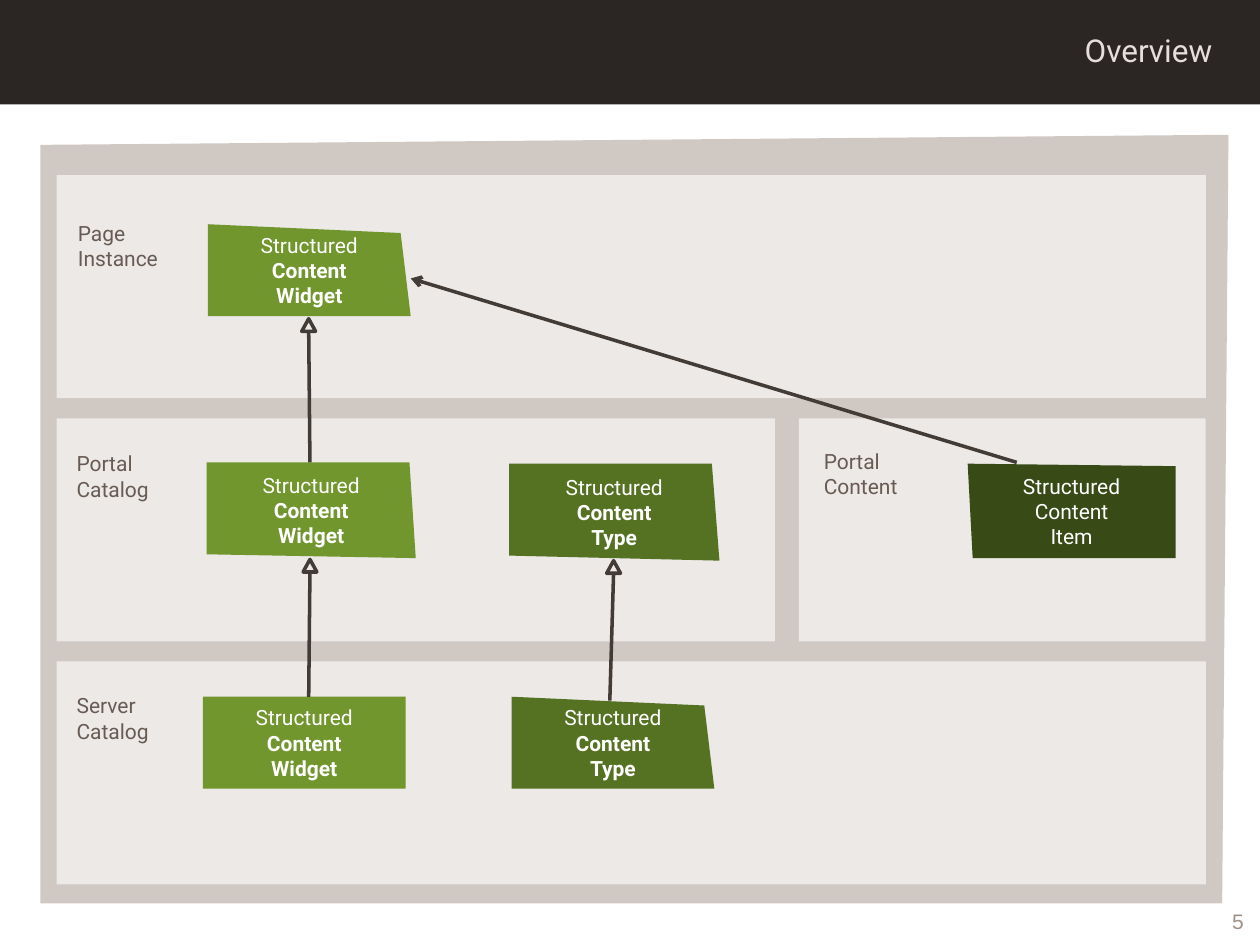
from lxml import etree
from pptx import Presentation
from pptx import util as u
from pptx.dml.color import RGBColor
from pptx.enum import shapes, text
from pptx.oxml import ns

deck = Presentation()
deck.slide_width, deck.slide_height = u.Inches(10), u.Inches(7.5)
page = deck.slides.add_slide(deck.slide_layouts[6])
column, row = deck.slide_width / 10, deck.slide_height / 7.5


def paint(fill, colour):
    fill.solid()
    fill.fore_color.rgb = RGBColor.from_string(colour)


def write(shape, words, size, colour, align, font="Roboto", bold_from=9):
    shape.text_frame.text = words
    for index, para in enumerate(shape.text_frame.paragraphs):
        para.alignment = align
        for span in para.runs:
            span.font.name = font
            span.font.size = u.Pt(size)
            span.font.bold = index >= bold_from
            paint(span.font.fill, colour)


panel_height, panel_step = 1.77, 1.93
page_top, portal_top, server_top = [1.39 + panel_step * level for level in range(3)]
panels = [(0.45, page_top, 9.57), (0.45, portal_top, 6.15),
          (6.34, portal_top, 9.57), (0.45, server_top, 9.57)]
light, medium, dark = "71962D", "557122", "384B17"
widget = "Structured\nContent\nWidget"
content_type = "Structured\nContent\nType"
item = "Structured\nContent\nItem"

solids = [
    ("2B2623", [(0, 0), (10, 0.83)], "", 9),
    ("CFC8C3", [(0.32, 1.15), (9.75, 1.07), (9.7, 7.17), (0.32, 7.17)], "", 9),
]
for left, top, right in panels:
    solids.append(("ECE9E7", [(left, top), (right, top + panel_height)], "", 9))
solids += [
    (light, [(1.65, 1.78), (3.18, 1.85), (3.26, 2.51), (1.65, 2.51)], widget, 1),
    (light, [(1.64, 3.67), (3.25, 3.67), (3.3, 4.43), (1.64, 4.4)], widget, 1),
    (light, [(1.61, 5.53), (3.22, 6.26)], widget, 1),
    (medium, [(4.04, 3.68), (5.65, 3.68), (5.71, 4.45), (4.04, 4.41)], content_type, 1),
    (medium, [(4.06, 5.53), (5.59, 5.6), (5.67, 6.26), (4.06, 6.26)], content_type, 1),
    (dark, [(7.68, 3.68), (9.33, 3.7), (9.33, 4.43), (7.72, 4.43)], item, 9),
]
for colour, corners, words, bold_from in solids:
    points = [(round(x * column), round(y * row)) for x, y in corners]
    if len(points) == 2:
        (left, top), (right, bottom) = points
        solid = page.shapes.add_shape(shapes.MSO_SHAPE.RECTANGLE, left, top,
                                      right - left, bottom - top)
    else:
        builder = page.shapes.build_freeform(*points[0])
        builder.add_line_segments(points[1:], close=True)
        solid = builder.convert_to_shape()
    solid.shadow.inherit = False
    paint(solid.fill, colour)
    solid.line.fill.background()
    if words:
        write(solid, words, 12, "FFFFFF", text.PP_ALIGN.CENTER, bold_from=bold_from)
        solid.text_frame.word_wrap = False
        solid.text_frame.vertical_anchor = text.MSO_ANCHOR.MIDDLE

left_align, right_align = text.PP_ALIGN.LEFT, text.PP_ALIGN.RIGHT
top_anchor, middle_anchor = text.MSO_ANCHOR.TOP, text.MSO_ANCHOR.MIDDLE
captions = [
    ("Overview", 2.87, 0.2, 6.85, 0.4, 18, "E5DEDC", right_align, "Roboto", top_anchor),
    ("5", 8.14, 7.17, 1.83, 0.28, 12, "9E9088", right_align, "Arial", middle_anchor),
]
for words, left, top in [("Page Instance", 0.52, 1.7), ("Portal Catalog", 0.51, 3.53),
                         ("Portal Content", 6.44, 3.51), ("Server Catalog", 0.51, 5.45)]:
    captions.append((words, left, top, 0.84, 0.5, 12, "675B53", left_align, "Roboto", top_anchor))
for words, left, top, width, height, size, colour, align, font, anchor in captions:
    box = page.shapes.add_textbox(round(left * column), round(top * row),
                                  round(width * column), round(height * row))
    box.text_frame.word_wrap = True
    box.text_frame.vertical_anchor = anchor
    write(box, words, size, colour, align, font)

head_width, head_height = 0.11, 0.1
links = [
    (2.46, 3.67, 2.45, 2.63, True),
    (4.84, 5.56, 4.87, 4.55, True),
    (2.45, 5.53, 2.46, 4.54, True),
    (8.07, 3.67, 3.26, 2.21, False),
]
for start_x, start_y, end_x, end_y, hollow in links:
    link = page.shapes.add_connector(shapes.MSO_CONNECTOR.STRAIGHT,
                                     round(start_x * column), round(start_y * row),
                                     round(end_x * column), round(end_y * row))
    strokes = [link]
    if hollow:
        head = page.shapes.add_shape(shapes.MSO_SHAPE.ISOSCELES_TRIANGLE,
                                     round((end_x - head_width / 2) * column),
                                     round((end_y - head_height) * row),
                                     round(head_width * column), round(head_height * row))
        head.shadow.inherit = False
        head.fill.background()
        strokes.append(head)
    for stroke in strokes:
        paint(stroke.line.fill, "433B36")
        stroke.line.width = u.Pt(2)
    if not hollow:
        etree.SubElement(link.line._get_or_add_ln(), ns.qn("a:tailEnd"), type="arrow")
    etree.SubElement(link._element.spPr, ns.qn("a:effectLst"))

deck.save("out.pptx")
